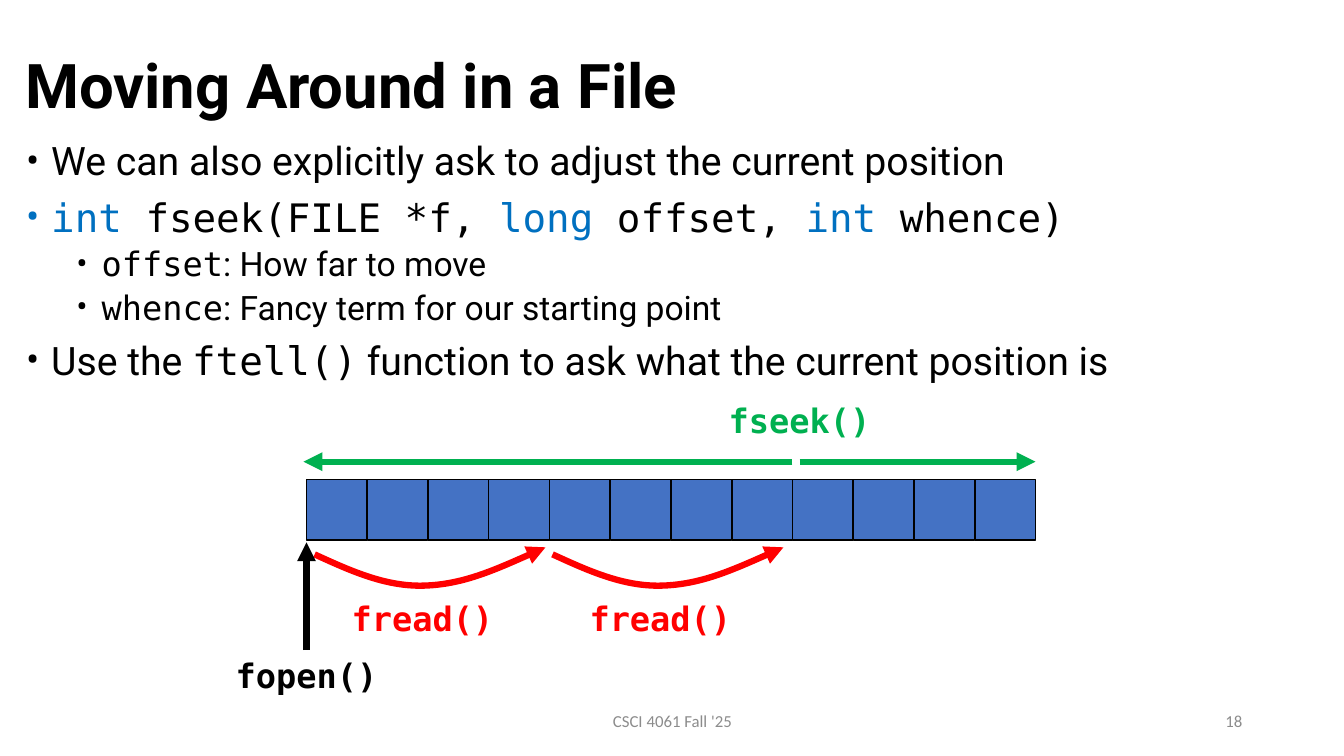
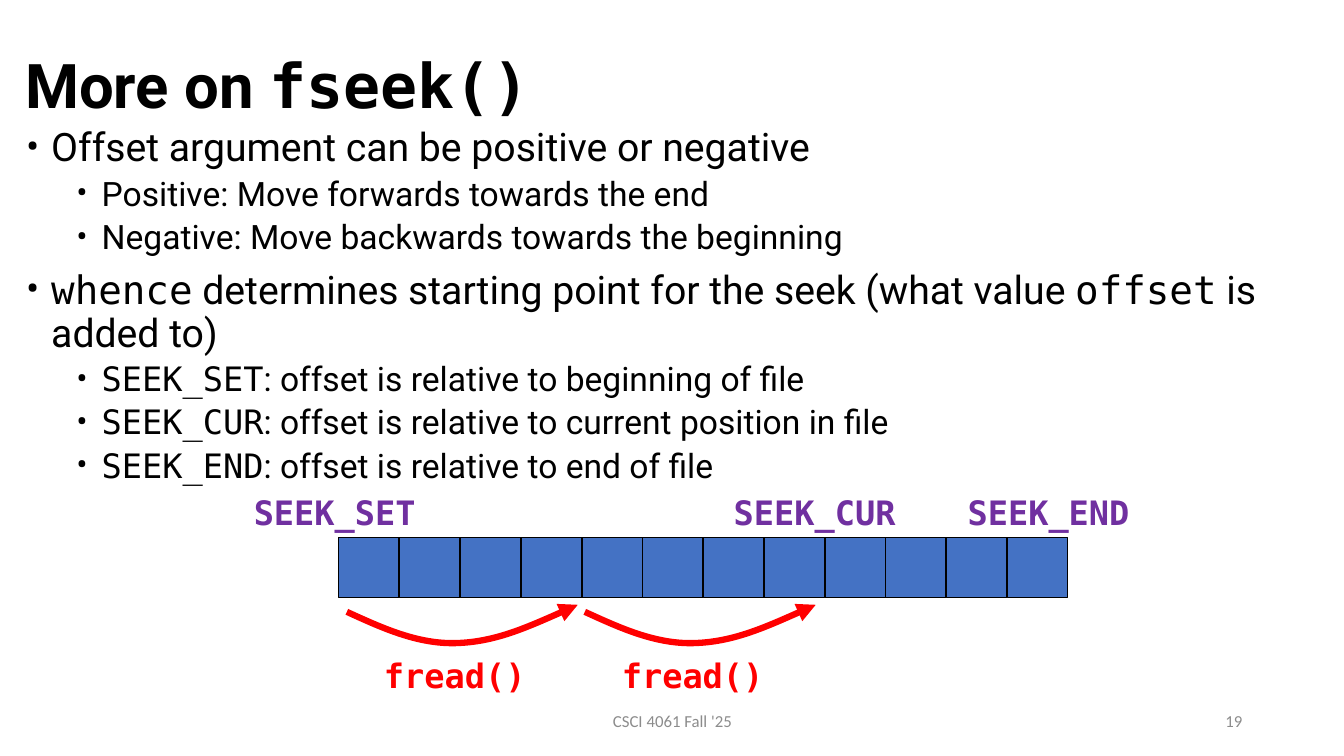
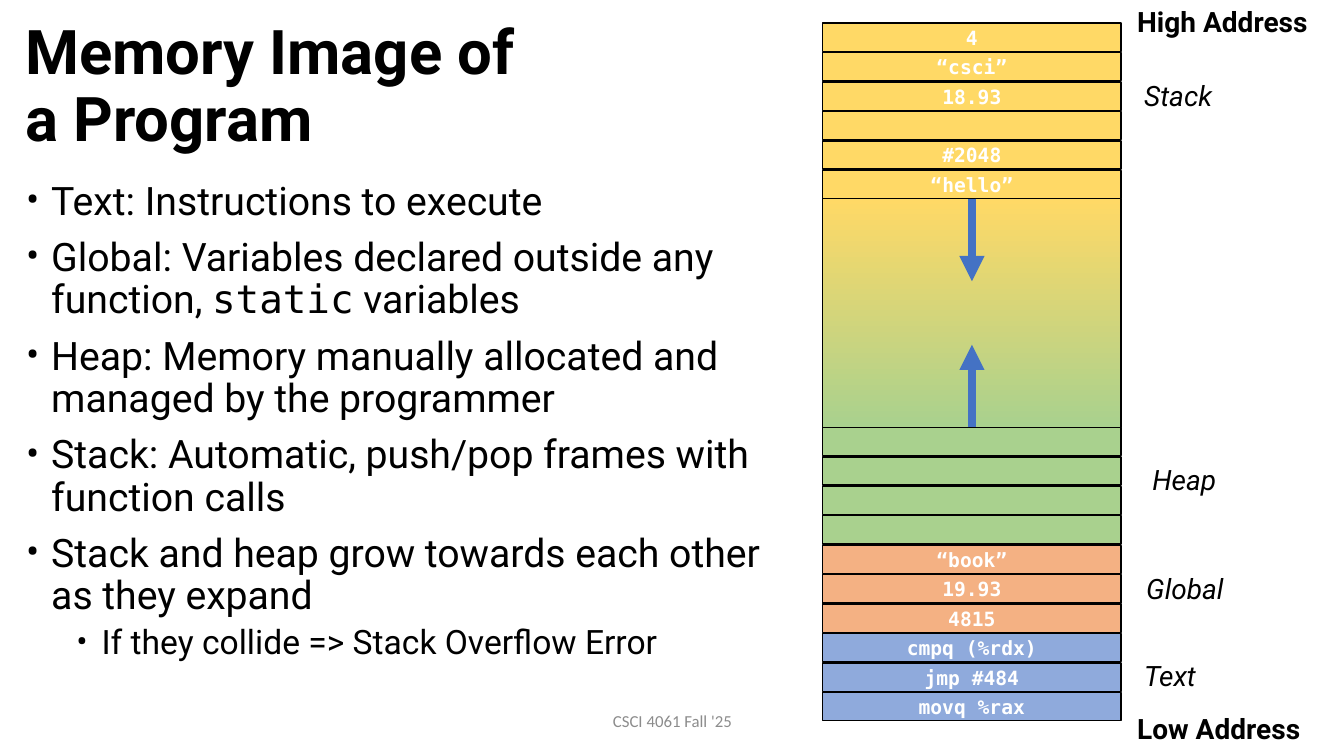
"""Three lecture slides on file positions and the memory image of a program."""
from lxml.etree import SubElement
from pptx import Presentation
from pptx.dml.color import RGBColor
from pptx.enum.shapes import MSO_CONNECTOR, MSO_SHAPE
from pptx.enum.text import MSO_ANCHOR as Anchor, MSO_AUTO_SIZE, PP_ALIGN as Align
from pptx.oxml.ns import qn
from pptx.util import Inches, Pt

BLACK = RGBColor(0x00, 0x00, 0x00)
WHITE = RGBColor(0xFF, 0xFF, 0xFF)
GREY = RGBColor(0x8C, 0x8C, 0x8C)
KEYWORD_BLUE = RGBColor(0x00, 0x70, 0xC0)
BYTE_BLUE = RGBColor(0x44, 0x72, 0xC4)
READ_RED = RGBColor(0xFF, 0x00, 0x00)
SEEK_GREEN = RGBColor(0x00, 0xB0, 0x50)
WHENCE_PURPLE = RGBColor(0x70, 0x30, 0xA0)
STACK_YELLOW = RGBColor(0xFF, 0xD9, 0x66)
HEAP_GREEN = RGBColor(0xA9, 0xD1, 0x8E)
GLOBAL_ORANGE = RGBColor(0xF4, 0xB1, 0x83)
TEXT_BLUE = RGBColor(0x8F, 0xAA, 0xDC)
SANS, MONO, FOOTER_FONT = "Roboto", "DejaVu Sans Mono", "Calibri"
KEYWORDS = ("int", "long")


def write(paragraph, marked, size, color=BLACK, bold=False, italic=False, font=SANS):
    """Write text in which backticks enclose code."""
    pieces = marked.split("`")
    paragraph.text = pieces[0]
    for run in paragraph.runs:
        run.font.name = font
    for index, piece in enumerate(pieces[1:], 1):
        if piece:
            run = paragraph.add_run()
            run.text = piece
            run.font.name = MONO if index % 2 else font
    for run in paragraph.runs:
        run.font.size = Pt(size)
        run.font.bold = bold
        run.font.italic = italic
        run.font.color.rgb = KEYWORD_BLUE if run.text.strip() in KEYWORDS else color


def style_arrow(arrow, color, width):
    """Colour a line, point its end and drop its shadow."""
    arrow.line.color.rgb = color
    arrow.line.width = Pt(width)
    properties = arrow._element.spPr
    SubElement(properties.find(qn("a:ln")), qn("a:tailEnd"), type="triangle")
    SubElement(properties, qn("a:effectLst"))


prs = Presentation()
prs.slide_width, prs.slide_height = Inches(13.33), Inches(7.5)

CONTENT = [
    ("Moving Around in a File", "18", (1.36, 12.81, 2.68), [
        (0, "We can also explicitly ask to adjust the current position"),
        (0, "`int ``fseek(FILE *f, ``long`` offset, ``int`` whence)`"),
        (1, "`offset`: How far to move"),
        (1, "`whence`: Fancy term for our starting point"),
        (0, "Use the `ftell()` function to ask what the current position is"),
    ]),
    ("More on `fseek()`", "19", (1.22, 12.81, 3.8), [
        (0, "Offset argument can be positive or negative"),
        (1, "Positive: Move forwards towards the end"),
        (1, "Negative: Move backwards towards the beginning"),
        (0, "`whence` determines starting point for the seek "
            "(what value `offset` is added to)"),
        (1, "`SEEK_SET`: offset is relative to beginning of file"),
        (1, "`SEEK_CUR`: offset is relative to current position in file"),
        (1, "`SEEK_END`: offset is relative to end of file"),
    ]),
    ("Memory Image of\va Program", None, (1.75, 7.63, 5.03), [
        (0, "Text: Instructions to execute"),
        (0, "Global: Variables declared outside any function, `static` variables"),
        (0, "Heap: Memory manually allocated and managed by the programmer"),
        (0, "Stack: Automatic, push/pop frames with function calls"),
        (0, "Stack and heap grow towards each other as they expand"),
        (1, "If they collide => Stack Overflow Error"),
    ]),
]

for heading, number, (top, width, height), bullets in CONTENT:
    slide = prs.slides.add_slide(prs.slide_layouts[5])
    title = slide.shapes.title
    title.left, title.top = Inches(0.15), Inches(0.15)
    title.width, title.height = Inches(12.82), Inches(1.45)
    title.text_frame.auto_size = MSO_AUTO_SIZE.NONE
    title.text_frame.vertical_anchor = Anchor.MIDDLE
    heading_line = title.text_frame.paragraphs[0]
    write(heading_line, heading, 44, bold=True)
    heading_line.alignment = Align.LEFT
    heading_line.line_spacing = 0.9

    body = slide.shapes.add_textbox(
        Inches(0.16), Inches(top), Inches(width), Inches(height)).text_frame
    body.word_wrap = True
    for index, (level, text) in enumerate(bullets):
        bullet = body.add_paragraph() if index else body.paragraphs[0]
        write(bullet, text, 24 if level else 28)
        bullet.level = level
        bullet.line_spacing = 0.9
        bullet.space_before = Pt(5 if level else 10)
        layout = bullet._p.get_or_add_pPr()
        layout.set("marL", str(Inches(0.25 + 0.5 * level)))
        layout.set("indent", str(Inches(-0.25)))
        SubElement(layout, qn("a:buFont"), typeface=SANS)
        SubElement(layout, qn("a:buChar"), char="•")

    footers = [("CSCI 4061 Fall '25", 4.42, 4.5, Align.CENTER)]
    if number:
        footers.append((number, 9.42, 3, Align.RIGHT))
    for text, left, width, alignment in footers:
        footer = slide.shapes.add_textbox(
            Inches(left), Inches(6.95), Inches(width), Inches(0.4)).text_frame
        footer.word_wrap = True
        footer.vertical_anchor = Anchor.MIDDLE
        write(footer.paragraphs[0], text, 12, GREY, font=FOOTER_FONT)
        footer.paragraphs[0].alignment = alignment

moving, seeking, memory = prs.slides

BYTES, BYTE_SIZE, BYTE_PITCH = 12, 0.6, 6.63 / 11
READ_PITCH = 2.36
ARC = [(0, 0.07), (0.35, 0.23), (0.7, 0.39), (1.08, 0.38),
       (1.46, 0.37), (1.87, 0.19), (2.29, 0)]
FILES = [
    (moving, 3.04, 4.76, [("fopen()", 1.97, 6.45, BLACK),
                          ("fseek()", 6.86, 3.92, SEEK_GREEN)]),
    (seeking, 3.36, 5.33, [("SEEK_SET", 2.25, 4.83, WHENCE_PURPLE),
                           ("SEEK_CUR", 7.01, 4.83, WHENCE_PURPLE),
                           ("SEEK_END", 9.33, 4.83, WHENCE_PURPLE)]),
]
label_boxes = {}
for slide, row_left, row_top, labels in FILES:
    for column in range(BYTES):
        byte = slide.shapes.add_shape(
            MSO_SHAPE.RECTANGLE, Inches(row_left + column * BYTE_PITCH),
            Inches(row_top), Inches(BYTE_SIZE), Inches(BYTE_SIZE))
        byte.shadow.inherit = False
        byte.fill.solid()
        byte.fill.fore_color.rgb = BYTE_BLUE
        byte.line.color.rgb = BLACK
        byte.line.width = Pt(1)

    reads = []
    for read in range(2):
        read_left = row_left + 0.08 + read * READ_PITCH
        reads.append(("fread()", read_left, row_top + 1.12, READ_RED))
        start, *bends = [(Inches(read_left + x), Inches(row_top + 0.67 + y))
                         for x, y in ARC]
        outline = slide.shapes.build_freeform(*start)
        outline.add_line_segments(bends, close=False)
        arc = outline.convert_to_shape()
        arc.fill.background()
        curve = arc._element.spPr.find(".//" + qn("a:path"))
        segments = curve.findall(qn("a:lnTo"))
        for first in range(0, len(segments), 3):
            bezier = SubElement(curve, qn("a:cubicBezTo"))
            for segment in segments[first:first + 3]:
                bezier.append(segment[0])
                curve.remove(segment)
        style_arrow(arc, READ_RED, 4.5)

    for text, left, top, color in labels + reads:
        label = slide.shapes.add_textbox(
            Inches(left), Inches(top), Inches(2.14), Inches(0.5))
        label.text_frame.word_wrap = True
        write(label.text_frame.paragraphs[0], text, 24, color, bold=True, font=MONO)
        label.text_frame.paragraphs[0].alignment = Align.CENTER
        label_boxes[text] = label

for x1, y1, x2, y2, color in [(3.04, 6.45, 3.04, 5.38, BLACK),
                              (7.86, 4.58, 3.01, 4.58, SEEK_GREEN),
                              (7.93, 4.58, 10.27, 4.58, SEEK_GREEN)]:
    move = moving.shapes.add_connector(
        MSO_CONNECTOR.STRAIGHT, Inches(x1), Inches(y1), Inches(x2), Inches(y2))
    style_arrow(move, color, 4.5)
    if color == BLACK:
        move.begin_connect(label_boxes["fopen()"], 0)

MEMORY_LEFT, MEMORY_WIDTH = 8.16, 2.96
CELL_HEIGHT, CELL_PITCH = 0.28, 2.63 / 9
STACK_TOP, GAP_TOP, HEAP_TOP = 0.23, 1.97, 4.24
REGIONS = [
    (STACK_TOP, STACK_YELLOW, ["4", "“csci”", "18.93", "", "#2048", "“hello”"]),
    (HEAP_TOP, HEAP_GREEN, [""] * 4),
    (HEAP_TOP + 4 * CELL_PITCH, GLOBAL_ORANGE, ["“book”", "19.93", "4815"]),
    (HEAP_TOP + 7 * CELL_PITCH, TEXT_BLUE, ["cmpq (%rdx)", "jmp #484", "movq %rax"]),
]
for region_top, color, values in REGIONS:
    for row, value in enumerate(values):
        cell = memory.shapes.add_shape(
            MSO_SHAPE.RECTANGLE, Inches(MEMORY_LEFT),
            Inches(region_top + row * CELL_PITCH),
            Inches(MEMORY_WIDTH), Inches(CELL_HEIGHT))
        cell.shadow.inherit = False
        cell.fill.solid()
        cell.fill.fore_color.rgb = color
        cell.line.color.rgb = BLACK
        cell.line.width = Pt(1)
        cell.text_frame.vertical_anchor = Anchor.MIDDLE
        write(cell.text_frame.paragraphs[0], value, 14, WHITE, bold=True, font=MONO)
        cell.text_frame.paragraphs[0].alignment = Align.CENTER

gap = memory.shapes.add_shape(
    MSO_SHAPE.RECTANGLE, Inches(MEMORY_LEFT), Inches(GAP_TOP),
    Inches(MEMORY_WIDTH), Inches(HEAP_TOP - GAP_TOP))
gap.shadow.inherit = False
gap.fill.gradient()
gap.fill.gradient_angle = 270
for stop, position, color in zip(gap.fill.gradient_stops, (0, 1),
                                 (STACK_YELLOW, HEAP_GREEN)):
    stop.position = position
    stop.color.rgb = color
gap.line.color.rgb = BLACK
gap.line.width = Pt(1)

middle = MEMORY_LEFT + MEMORY_WIDTH / 2
for side, start, end in [(0, GAP_TOP, GAP_TOP + 0.82), (2, HEAP_TOP, HEAP_TOP - 0.82)]:
    growth = memory.shapes.add_connector(
        MSO_CONNECTOR.STRAIGHT, Inches(middle), Inches(start),
        Inches(middle), Inches(end))
    growth.begin_connect(gap, side)
    style_arrow(growth, BYTE_BLUE, 6)

for text, left, top, width, is_end in [
        ("High Address", 11.18, 0, 2.04, True),
        ("Stack", 11.25, 0.73, 1.09, False),
        ("Heap", 11.33, 4.54, 1.09, False),
        ("Global", 11.27, 5.62, 1.09, False),
        ("Text", 11.25, 6.48, 1.09, False),
        ("Low Address", 11.18, 7.01, 1.97, True)]:
    region = memory.shapes.add_textbox(
        Inches(left), Inches(top), Inches(width), Inches(0.44)).text_frame
    region.word_wrap = True
    write(region.paragraphs[0], text, 20, bold=is_end, italic=not is_end)

prs.save("out.pptx")
